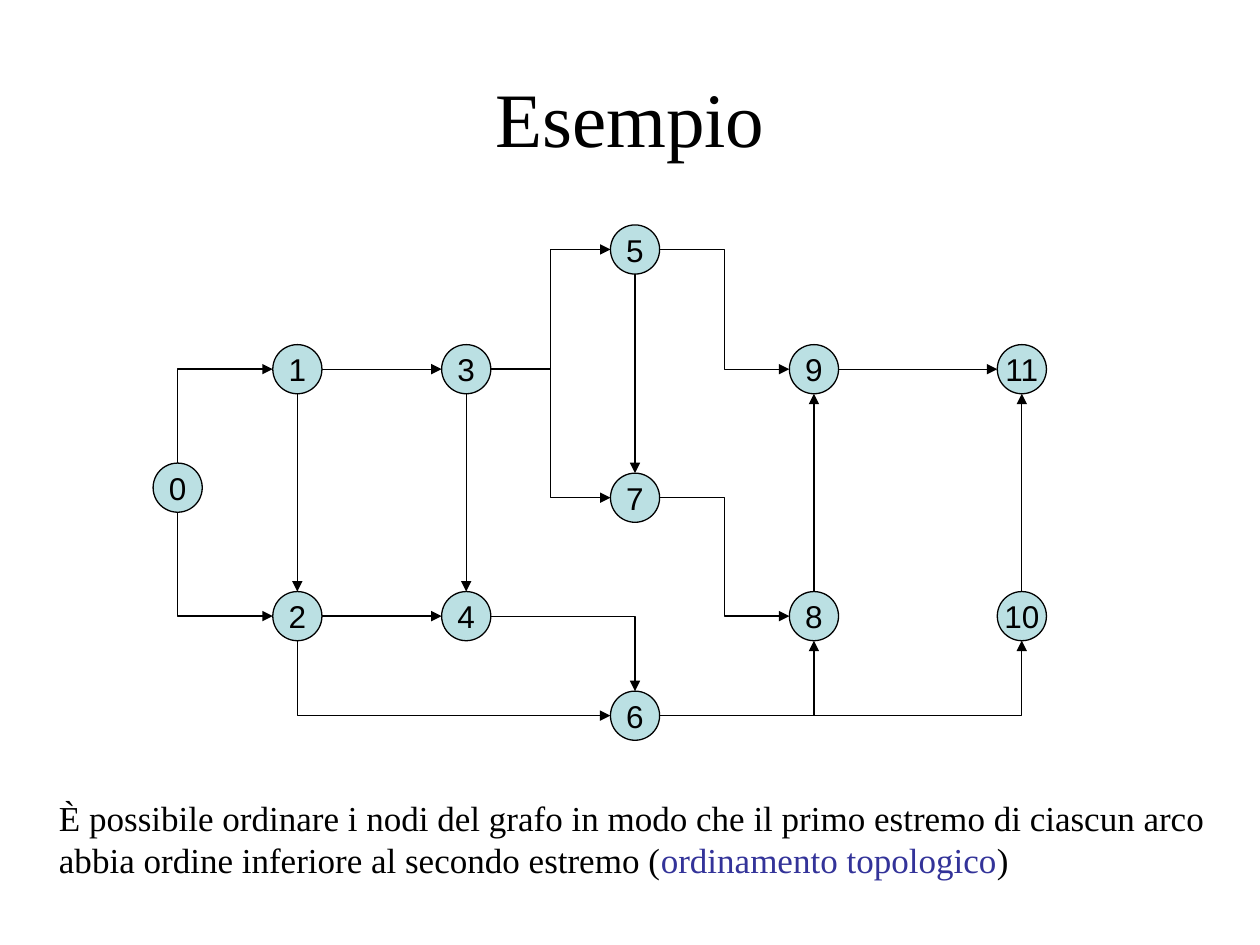
from lxml.etree import SubElement
from pptx import Presentation
from pptx.dml.color import RGBColor
from pptx.enum.shapes import MSO_CONNECTOR as Wire, MSO_SHAPE as Preset
from pptx.enum.text import MSO_ANCHOR as Anchor, PP_ALIGN as Align
from pptx.oxml.ns import qn
from pptx.util import Inches, Pt

BLACK = RGBColor(0x00, 0x00, 0x00)
BLUE = RGBColor(0x33, 0x33, 0x99)
AQUA = RGBColor(0xBB, 0xE0, 0xE3)
SERIF, SANS = "Times New Roman", "Arial"

# Content
TITLE = "Esempio"
NOTE = [
    [("È possibile ordinare i nodi del grafo in modo che il primo estremo di ciascun arco", BLACK)],
    [("abbia ordine inferiore al secondo estremo (", BLACK),
     ("ordinamento topologico", BLUE), (")", BLACK)],
]

# Grid of node centres, in inches
COLUMNS = [1.41, 2.36, 3.7, 5.04, 6.46, 8.11]
ROWS = [1.98, 2.93, 3.87, 3.95, 4.89, 5.68]
DIAMETER = 0.39
NODES = {  # label: (column, row)
    0: (0, 2), 1: (1, 1), 2: (1, 4), 3: (2, 1), 4: (2, 4), 5: (3, 0),
    7: (3, 3), 6: (3, 5), 9: (4, 1), 8: (4, 4), 11: (5, 1), 10: (5, 4),
}
# Arcs by route: straight, across then vertical, vertical then across, or stepped
ARCS = {
    "straight": [(1, 3), (5, 7), (3, 4), (1, 2), (2, 4), (8, 9), (9, 11), (10, 11)],
    "across": [(4, 6), (6, 10), (6, 8)],
    "vertical": [(0, 1), (0, 2), (2, 6)],
    "step": [(3, 5), (5, 9), (3, 7), (7, 8)],
}


def centre(label):
    column, row = NODES[label]
    return COLUMNS[column], ROWS[row]


def sign(value):
    return (value > 0) - (value < 0)


def add_span(para, text, name, size, color):
    span = para.add_run()
    span.text = text
    for key, value in {"name": name, "size": Pt(size)}.items():
        setattr(span.font, key, value)
    span.font.color.rgb = color


def set_frame(shape, **options):
    for key, value in options.items():
        setattr(shape.text_frame, key, value)
    return shape.text_frame.paragraphs[0]


def add_node(page, label):
    left, top = (Inches(c - DIAMETER / 2) for c in centre(label))
    node = page.shapes.add_shape(Preset.OVAL, left, top, Inches(DIAMETER), Inches(DIAMETER))
    node.shadow.inherit = False
    node.fill.solid()
    node.fill.fore_color.rgb = AQUA
    node.line.color.rgb = BLACK
    node.line.width = Pt(0.75)
    para = set_frame(node, word_wrap=False, vertical_anchor=Anchor.MIDDLE)
    para.alignment = Align.CENTER
    add_span(para, str(label), SANS, 18, BLACK)


def add_arc(page, start, end, route):
    (x1, y1), (x2, y2) = centre(start), centre(end)
    dx, dy, radius = sign(x2 - x1), sign(y2 - y1), DIAMETER / 2
    # Move each end from the node's centre to its rim
    leaves_vertical = route == "vertical" or dx == 0
    enters_vertical = route == "across" or dx == 0
    if leaves_vertical:
        y1 += dy * radius
    else:
        x1 += dx * radius
    if enters_vertical:
        y2 -= dy * radius
    else:
        x2 -= dx * radius
    kind = Wire.STRAIGHT if route == "straight" else Wire.ELBOW
    arc = page.shapes.add_connector(kind, *map(Inches, (x1, y1, x2, y2)))
    arc.line.color.rgb = BLACK
    arc.line.width = Pt(0.75)
    props = arc.element.spPr
    SubElement(arc.line._get_or_add_ln(), qn("a:tailEnd"), type="triangle")
    SubElement(props, qn("a:effectLst"))
    if route in ("across", "vertical"):
        props.find(qn("a:prstGeom")).set("prst", "bentConnector2")
    if route == "vertical":
        # A quarter turn about the middle makes the first leg vertical
        width, height = abs(y2 - y1), abs(x2 - x1)
        box = {"left": (x1 + x2 - width) / 2, "top": (y1 + y2 - height) / 2,
               "width": width, "height": height}
        for key, value in box.items():
            setattr(arc, key, Inches(value))
        arc.rotation = 270 if dy > 0 else 90
        props.find(qn("a:xfrm")).set("flipH", "1")


def add_text(page, left, top, width, height):
    return page.shapes.add_textbox(*map(Inches, (left, top, width, height)))


def main():
    deck = Presentation()
    deck.slide_width, deck.slide_height = Inches(10), Inches(7.5)
    page = deck.slides.add_slide(deck.slide_layouts[6])

    # Title
    box = add_text(page, 0.5, 0.3, 9, 1.25)
    para = set_frame(box, word_wrap=True, vertical_anchor=Anchor.MIDDLE)
    para.alignment = Align.CENTER
    add_span(para, TITLE, SERIF, 44, BLACK)

    # Graph
    for label in NODES:
        add_node(page, label)
    for route, pairs in ARCS.items():
        for start, end in pairs:
            add_arc(page, start, end, route)

    # Note
    para = set_frame(add_text(page, 0.37, 6.27, 9.3, 0.77), word_wrap=False)
    for index, line in enumerate(NOTE):
        if index:
            para.add_line_break()
        for text, color in line:
            add_span(para, text, SERIF, 20, color)

    deck.save("out.pptx")


if __name__ == "__main__":
    main()
